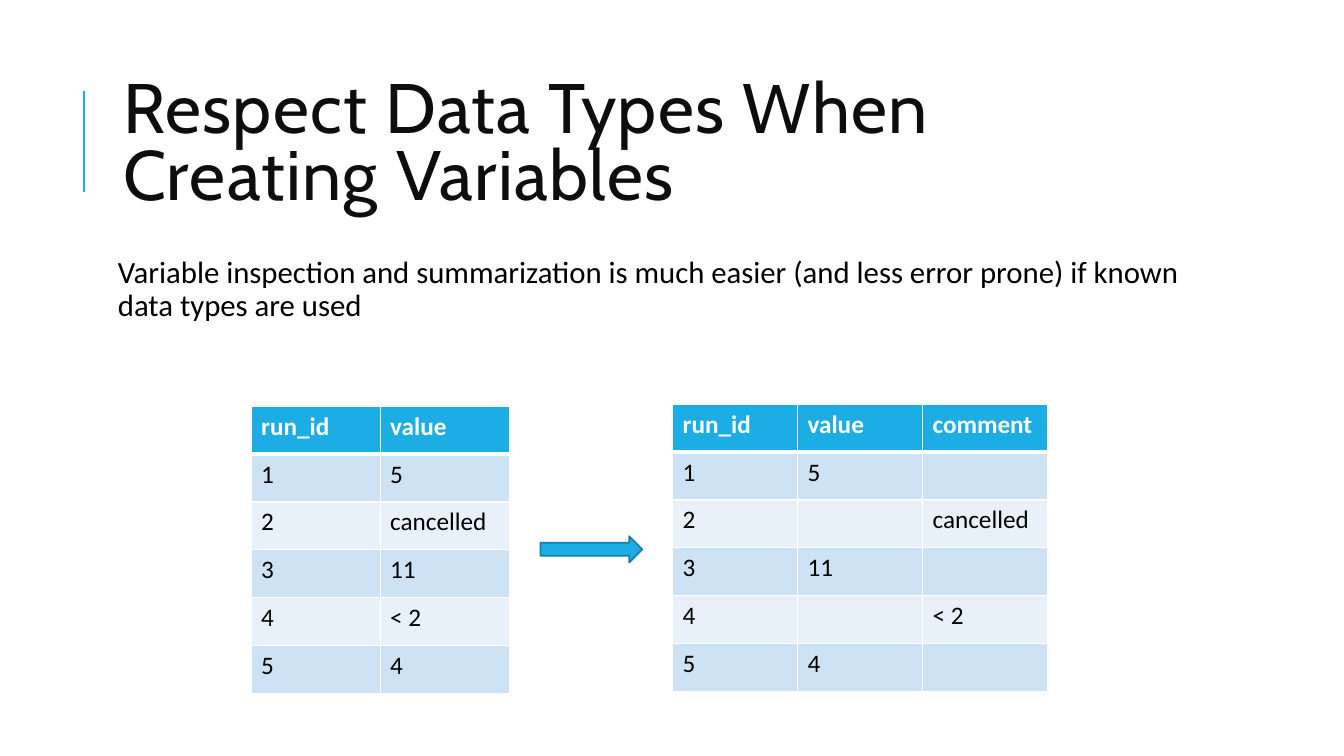
from dataclasses import dataclass

from pptx import Presentation
from pptx.dml.color import RGBColor
from pptx.enum.shapes import MSO_CONNECTOR as Connector, MSO_SHAPE as Shape
from pptx.enum.text import MSO_ANCHOR as Anchor, MSO_AUTO_SIZE as AutoSize, PP_ALIGN as Align
from pptx.oxml import parse_xml
from pptx.oxml.ns import nsdecls
from pptx.util import Inches, Pt


@dataclass(frozen=True)
class Theme:
    title_font: str = "Cabin"
    body_font: str = "Calibri"
    title_size: int = 50
    body_size: int = 22
    table_size: int = 18
    title: str = "0D0D0D"
    text: str = "000000"
    white: str = "FFFFFF"
    accent: str = "1CADE4"
    accent_dark: str = "1580A9"
    bands: tuple = ("CDE3F5", "E8F1FA")


def write(frame, text, *, font, size, color, bold=False, line_spacing=None, tracking=None):
    """Put one formatted paragraph into a text frame."""
    paragraph = frame.paragraphs[0]
    paragraph.alignment = Align.LEFT
    paragraph.space_before = Pt(0)
    if line_spacing:
        paragraph.line_spacing = line_spacing
    run = paragraph.add_run()
    run.text = text
    run.font.name = font
    run.font.size = Pt(size)
    run.font.bold = bold
    run.font.color.rgb = RGBColor.from_string(color)
    if tracking:
        run.font._element.set("spc", str(tracking * 100))


def border_cell(cell, color, **widths):
    """Draw cell borders; widths in points are keyed L, R, T, B."""
    properties = cell._tc.get_or_add_tcPr()
    for side in "LRTB":
        properties.append(parse_xml(
            f'<a:ln{side} {nsdecls("a")} w="{Pt(widths.get(side, 1))}">'
            f'<a:solidFill><a:srgbClr val="{color}"/></a:solidFill></a:ln{side}>'))


class SlideBuilder:
    def __init__(self, slide, theme):
        self.slide = slide
        self.theme = theme

    def title(self, text, left, top, width, height):
        shape = self.slide.shapes.title
        shape.left, shape.top = Inches(left), Inches(top)
        shape.width, shape.height = Inches(width), Inches(height)
        frame = shape.text_frame
        frame.word_wrap = True
        frame.auto_size = AutoSize.NONE
        frame.vertical_anchor = Anchor.MIDDLE
        write(frame, text, font=self.theme.title_font, size=self.theme.title_size,
              color=self.theme.title, line_spacing=0.8, tracking=1)

    def body(self, text, left, top, width, height):
        box = self.slide.shapes.add_textbox(
            Inches(left), Inches(top), Inches(width), Inches(height))
        frame = box.text_frame
        frame.word_wrap = True
        frame.margin_left = frame.margin_right = Inches(0.05)
        frame.margin_top = frame.margin_bottom = Inches(0.05)
        write(frame, text, font=self.theme.body_font, size=self.theme.body_size,
              color=self.theme.text, line_spacing=0.9)

    def line(self, x1, y1, x2, y2):
        connector = self.slide.shapes.add_connector(
            Connector.STRAIGHT, Inches(x1), Inches(y1), Inches(x2), Inches(y2))
        connector.line.color.rgb = RGBColor.from_string(self.theme.accent)
        connector.line.width = Pt(1.5)
        connector._element.spPr.append(parse_xml(f'<a:effectLst {nsdecls("a")}/>'))

    def arrow(self, left, top, width, height):
        shape = self.slide.shapes.add_shape(
            Shape.RIGHT_ARROW, Inches(left), Inches(top), Inches(width), Inches(height))
        shape.shadow.inherit = False
        shape.fill.solid()
        shape.fill.fore_color.rgb = RGBColor.from_string(self.theme.accent)
        shape.line.color.rgb = RGBColor.from_string(self.theme.accent_dark)
        shape.line.width = Pt(1.25)

    def table(self, rows, left, top, width, height):
        theme = self.theme
        table = self.slide.shapes.add_table(
            len(rows), len(rows[0]), Inches(left), Inches(top),
            Inches(width), Inches(height)).table
        for row_index, values in enumerate(rows):
            header = row_index == 0
            fill = theme.accent if header else theme.bands[(row_index - 1) % 2]
            for column_index, value in enumerate(values):
                cell = table.cell(row_index, column_index)
                border_cell(cell, theme.white, T=3 if row_index == 1 else 1,
                            B=3 if header else 1)
                cell.fill.solid()
                cell.fill.fore_color.rgb = RGBColor.from_string(fill)
                if value:
                    write(cell.text_frame, value, font=theme.body_font,
                          size=theme.table_size, bold=header,
                          color=theme.white if header else theme.text)


MIXED_ROWS = [("run_id", "value"), ("1", "5"), ("2", "cancelled"),
              ("3", "11"), ("4", "< 2"), ("5", "4")]
# Numbers stay in the value column, other entries move to the comment column
TYPED_ROWS = [("run_id", "value", "comment")] + [
    (run, value, "") if value.isdigit() else (run, "", value)
    for run, value in MIXED_ROWS[1:]]


def main():
    presentation = Presentation()
    presentation.slide_width, presentation.slide_height = Inches(13.33), Inches(7.5)
    slide = presentation.slides.add_slide(presentation.slide_layouts[5])
    builder = SlideBuilder(slide, Theme())

    # Heading and message
    builder.line(0.83, 1.9, 0.83, 0.9)
    builder.title("Respect Data Types When Creating Variables", 1.12, 0.64, 10.63, 1.64)
    builder.body("Variable inspection and summarization is much easier "
                 "(and less error prone) if known data types are used",
                 1.12, 2.5, 10.63, 1.16)

    # Mixed values become typed columns
    builder.table(MIXED_ROWS, 2.49, 4.03, 2.56, 2.85)
    builder.table(TYPED_ROWS, 6.67, 4.01, 3.72, 2.85)
    builder.arrow(5.36, 5.32, 1.01, 0.26)

    presentation.save("out.pptx")


if __name__ == "__main__":
    main()
